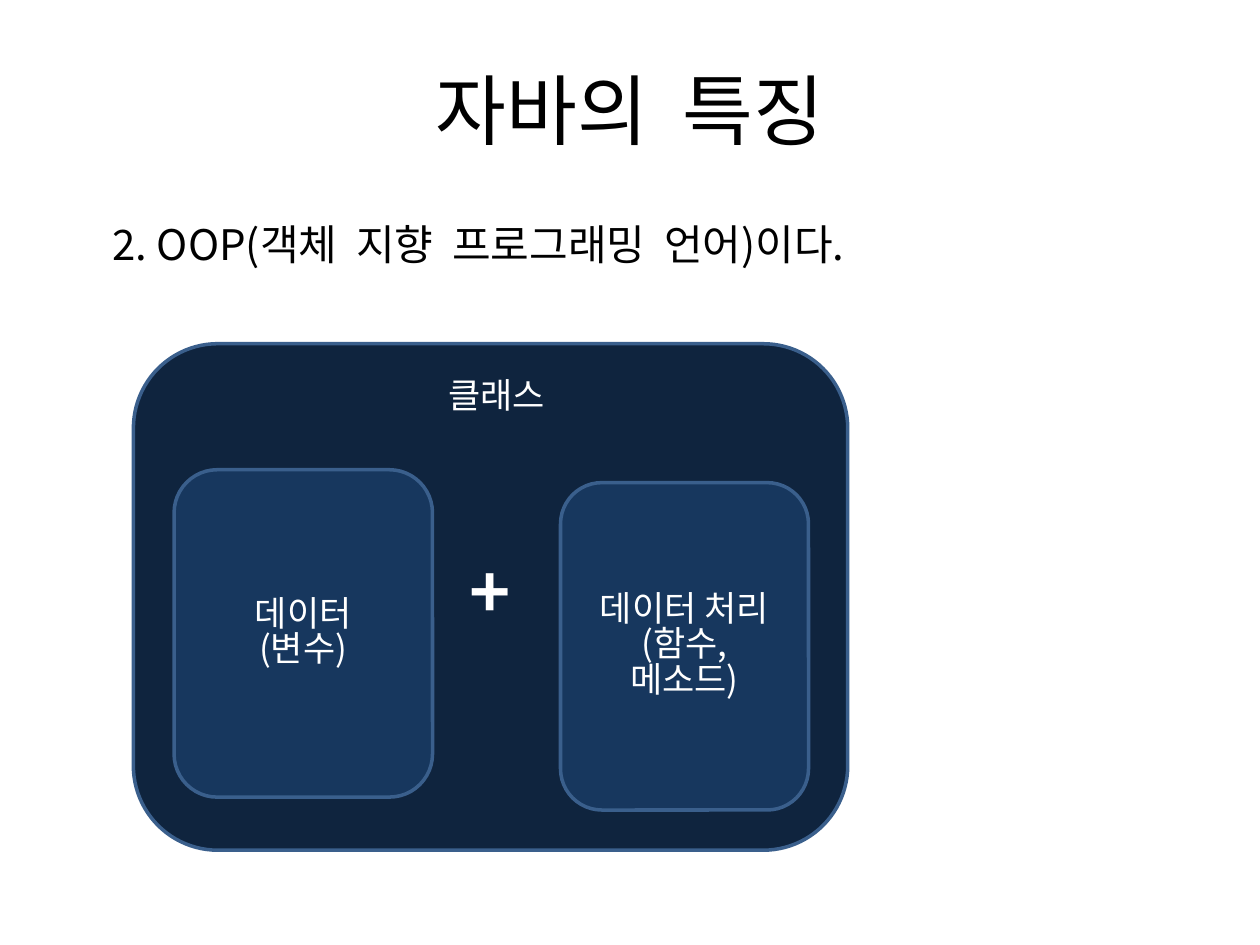
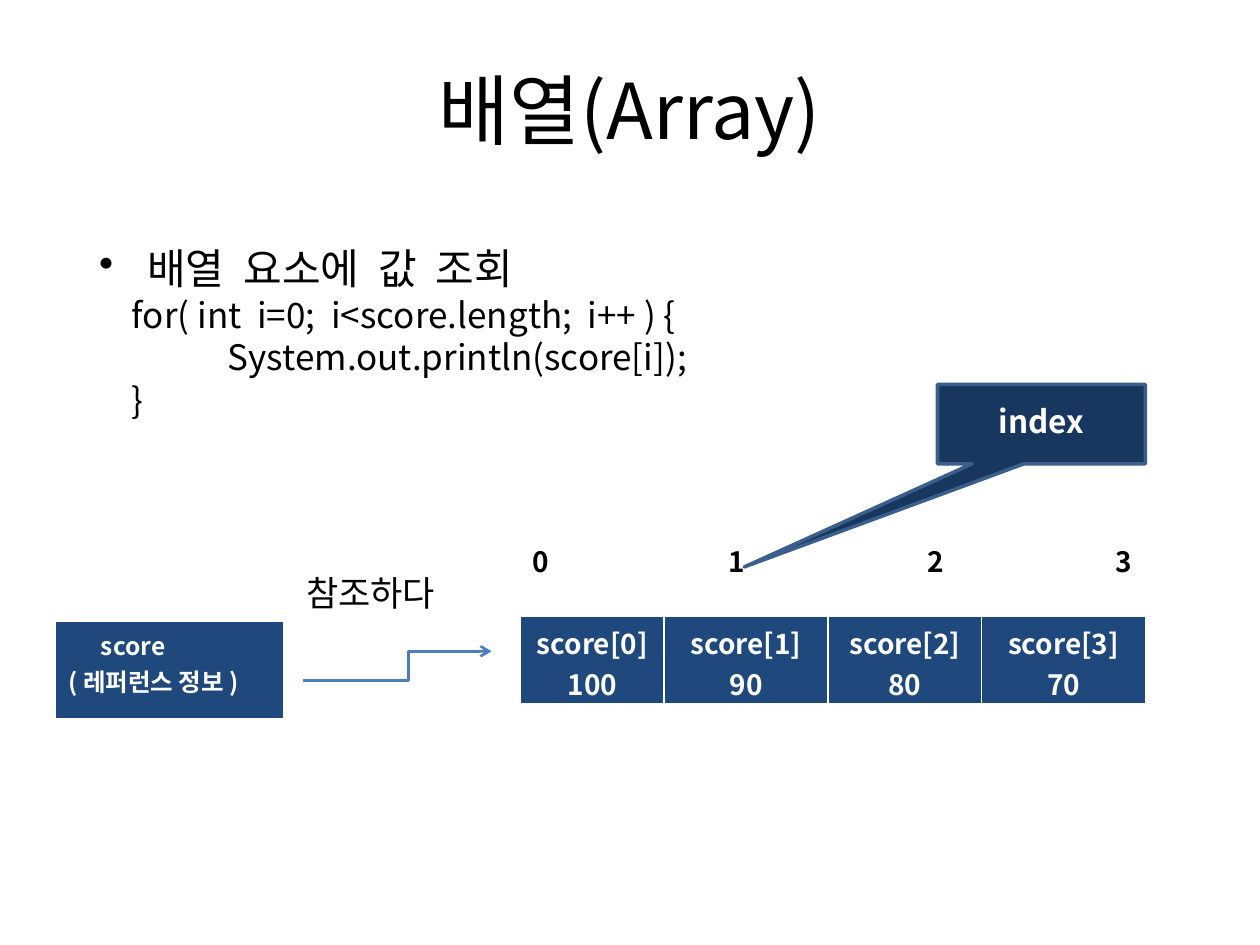
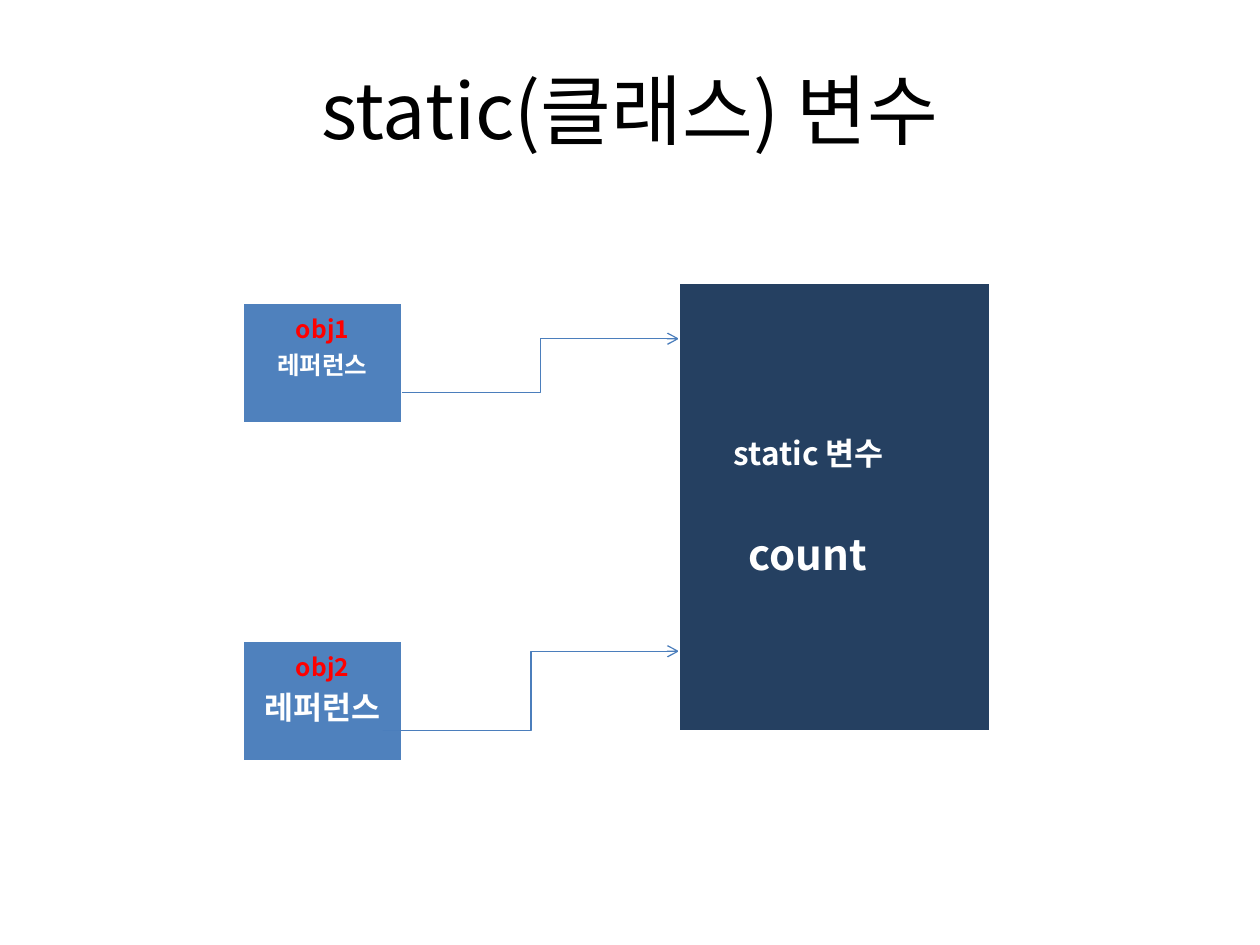
"""Build three slides on Java features, arrays and static variables."""
from pptx import Presentation
from pptx.dml.color import RGBColor
from pptx.enum.shapes import MSO_CONNECTOR as CONN, MSO_SHAPE as SHAPE
from pptx.enum.text import MSO_ANCHOR as ANCHOR, PP_ALIGN as ALIGN
from pptx.oxml import parse_xml
from pptx.oxml.ns import nsdecls, qn
from pptx.oxml.xmlchemy import OxmlElement
from pptx.util import Cm, Pt

FONT = "Noto Sans CJK KR"
TIGHT = 0.84
BLACK = RGBColor(0x00, 0x00, 0x00)
WHITE = RGBColor(0xFF, 0xFF, 0xFF)
RED = RGBColor(0xFF, 0x00, 0x00)
NIGHT = RGBColor(0x0F, 0x24, 0x3E)
NAVY = RGBColor(0x17, 0x37, 0x5E)
SLATE = RGBColor(0x25, 0x40, 0x61)
BLUE = RGBColor(0x1F, 0x49, 0x7D)
SKY = RGBColor(0x4F, 0x81, 0xBD)
EDGE = RGBColor(0x3A, 0x5F, 0x8C)
ARROW = RGBColor(0x4B, 0x7E, 0xBC)


def write(tf, text, size=20, color=BLACK, bold=False, align=ALIGN.LEFT,
          spacing=TIGHT, before=0, left=0, hang=0, bullet=None):
    p = tf.paragraphs[0]
    if p.runs:
        p = tf.add_paragraph()
    p.alignment = align
    p.line_spacing = spacing
    p.space_before = Pt(before)
    pPr = p._p.get_or_add_pPr()
    pPr.set("marL", str(Cm(left)))
    pPr.set("indent", str(Cm(-hang)))
    if bullet:
        bu = OxmlElement("a:buChar")
        bu.set("char", bullet)
        pPr.append(bu)
    r = p.add_run()
    r.text = text
    r.font.size = Pt(size)
    r.font.bold = bold
    r.font.color.rgb = color
    r.font.name = FONT
    ea = OxmlElement("a:ea")
    ea.set("typeface", FONT)
    r._r.get_or_add_rPr().append(ea)


class Deck:
    def __init__(self):
        self.prs = Presentation()
        self.prs.slide_width, self.prs.slide_height = Cm(25.4), Cm(19.05)

    def slide(self, title):
        self.s = self.prs.slides.add_slide(self.prs.slide_layouts[6])
        tf = self.text(1.27, 0.76, 22.86, 3.18)
        tf.vertical_anchor = ANCHOR.MIDDLE
        write(tf, title, size=44, align=ALIGN.CENTER)

    def text(self, x, y, w, h, wrap=True):
        tf = self.s.shapes.add_textbox(Cm(x), Cm(y), Cm(w), Cm(h)).text_frame
        tf.word_wrap = wrap
        return tf

    def shape(self, kind, x, y, w, h, lines, fill=NAVY, edge=EDGE, size=20, bold=False):
        sp = self.s.shapes.add_shape(kind, Cm(x), Cm(y), Cm(w), Cm(h))
        sp.shadow.inherit = False
        sp.fill.solid()
        sp.fill.fore_color.rgb = fill
        sp.line.color.rgb = edge
        sp.line.width = Pt(2)
        tf = sp.text_frame
        tf.word_wrap = True
        tf.vertical_anchor = ANCHOR.MIDDLE
        for line in lines:
            write(tf, line, size=size, color=WHITE, bold=bold, align=ALIGN.CENTER)
        return sp

    def table(self, x, y, widths, h, fill):
        tbl = self.s.shapes.add_table(
            1, len(widths), Cm(x), Cm(y), Cm(sum(widths)), Cm(h)).table
        tbl.first_row = tbl.horz_banding = False
        tbl.rows[0].height = Cm(h)
        for i, w in enumerate(widths):
            tbl.columns[i].width = Cm(w)
            cell = tbl.cell(0, i)
            cell.margin_bottom = Cm(0.05)
            tcPr = cell._tc.get_or_add_tcPr()
            for side, width in (("L", 1), ("R", 1), ("T", 1), ("B", 3)):
                tcPr.append(parse_xml(
                    f'<a:ln{side} {nsdecls("a")} w="{Pt(width)}"><a:solidFill>'
                    f'<a:srgbClr val="{WHITE}"/></a:solidFill></a:ln{side}>'))
            cell.fill.solid()
            cell.fill.fore_color.rgb = fill
        return [tbl.cell(0, i) for i in range(len(widths))]

    def arrow(self, x1, y1, x2, y2, width=0.75, bend=0.5):
        c = self.s.shapes.add_connector(CONN.ELBOW, Cm(x1), Cm(y1), Cm(x2), Cm(y2))
        c.line.color.rgb = ARROW
        c.line.width = Pt(width)
        tail = OxmlElement("a:tailEnd")
        tail.set("type", "arrow")
        c.line._get_or_add_ln().append(tail)
        spPr = c._element.spPr
        gd = OxmlElement("a:gd")
        gd.set("name", "adj1")
        gd.set("fmla", f"val {round(bend * 100000)}")
        spPr.find(qn("a:prstGeom")).get_or_add_avLst().append(gd)
        spPr.append(OxmlElement("a:effectLst"))


def features(d):
    d.slide("자바의  특징")
    d.shape(SHAPE.ROUNDED_RECTANGLE, 2.69, 6.93, 14.4, 10.21, ["+"],
            fill=NIGHT, size=40, bold=True)
    write(d.text(1.27, 4.45, 22.86, 12.57),
          "2. OOP(객체  지향  프로그래밍  언어)이다.", size=24, left=0.75)
    d.shape(SHAPE.ROUNDED_RECTANGLE, 3.51, 9.47, 5.21, 6.6, ["데이터", "(변수)"])
    d.shape(SHAPE.ROUNDED_RECTANGLE, 11.3, 9.73, 5, 6.6,
            ["데이터 처리", "(함수,", "메소드)"])
    d.shape(SHAPE.RECTANGLE, 6.71, 7.32, 6.6, 1.4, ["클래스"], fill=NIGHT, edge=NIGHT)


def arrays(d):
    d.slide("배열(Array)")
    tf = d.text(1.27, 3.96, 22.86, 12.57)
    tf.margin_top = Cm(1.1)
    write(tf, "배열  요소에  값  조회", size=24, left=1.45, hang=0.97, bullet="•")
    for line, left in (("for( int  i=0;  i<score.length;  i++ ) {", 1.14),
                       ("System.out.println(score[i]);", 3.07), ("}", 1.14)):
        write(tf, line, before=4, left=left)
    cells = d.table(10.49, 12.42, [2.9, 3.3, 3.1, 3.3], 1.8, BLUE)
    for i, (cell, value) in enumerate(zip(cells, (100, 90, 80, 70))):
        for line in (f"score[{i}]", str(value)):
            write(cell.text_frame, line, size=16, color=WHITE, bold=True,
                  align=ALIGN.CENTER, spacing=1)
    cell, = d.table(1.12, 12.52, [4.6], 2.01, BLUE)
    for line, left in (("score", 0.66), ("( 레퍼런스 정보 )", 0)):
        write(cell.text_frame, line, size=14, color=WHITE, bold=True, spacing=1, left=left)
    d.arrow(6.1, 13.72, 9.91, 13.13, width=1.5, bend=0.56)
    write(d.text(5.92, 11.53, 4.72, 1.12), "참조하다")
    for i, x in enumerate((10.49, 14.43, 18.44, 22.23)):
        write(d.text(x, 10.97, 0.86, 0.94, wrap=False), str(i), size=16, bold=True)
    sp = d.shape(SHAPE.RECTANGULAR_CALLOUT, 18.9, 7.75, 4.19, 1.6, ["index"],
                 size=18, bold=True)
    sp.adjustments[0], sp.adjustments[1] = -1.43, 1.8


def statics(d):
    d.slide("static(클래스) 변수")
    for name, y, size, start, end in (("obj1", 6.12, 14, (8.1, 7.92), (13.69, 6.83)),
                                      ("obj2", 12.93, 18, (7.72, 14.73), (13.69, 13.13))):
        cell, = d.table(4.9, y, [3.2], 2.44, SKY)
        for line, pt, color in ((name, 14, RED), ("레퍼런스", size, WHITE)):
            write(cell.text_frame, line, size=pt, color=color, bold=True,
                  align=ALIGN.CENTER, spacing=1)
        d.arrow(*start, *end)
    cell, = d.table(13.69, 5.72, [6.27], 9.04, SLATE)
    cell.margin_top = Cm(2.92)
    for line, size, left, before in (("static 변수", 18, 0.85, 0), ("count", 24, 1.15, 27)):
        write(cell.text_frame, line, size=size, color=WHITE, bold=True,
              spacing=1, left=left, before=before)


deck = Deck()
for build in (features, arrays, statics):
    build(deck)
deck.prs.save("out.pptx")
